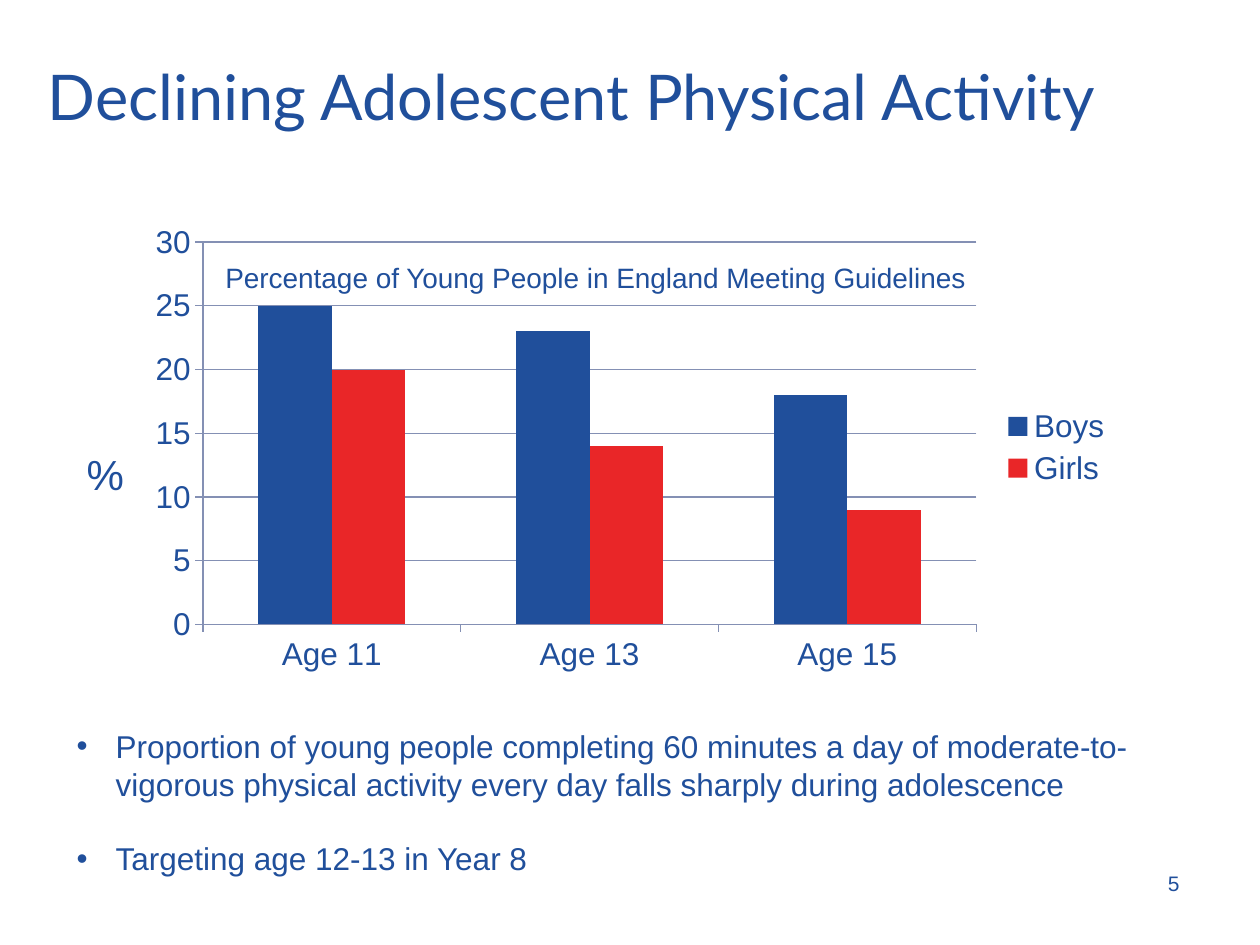
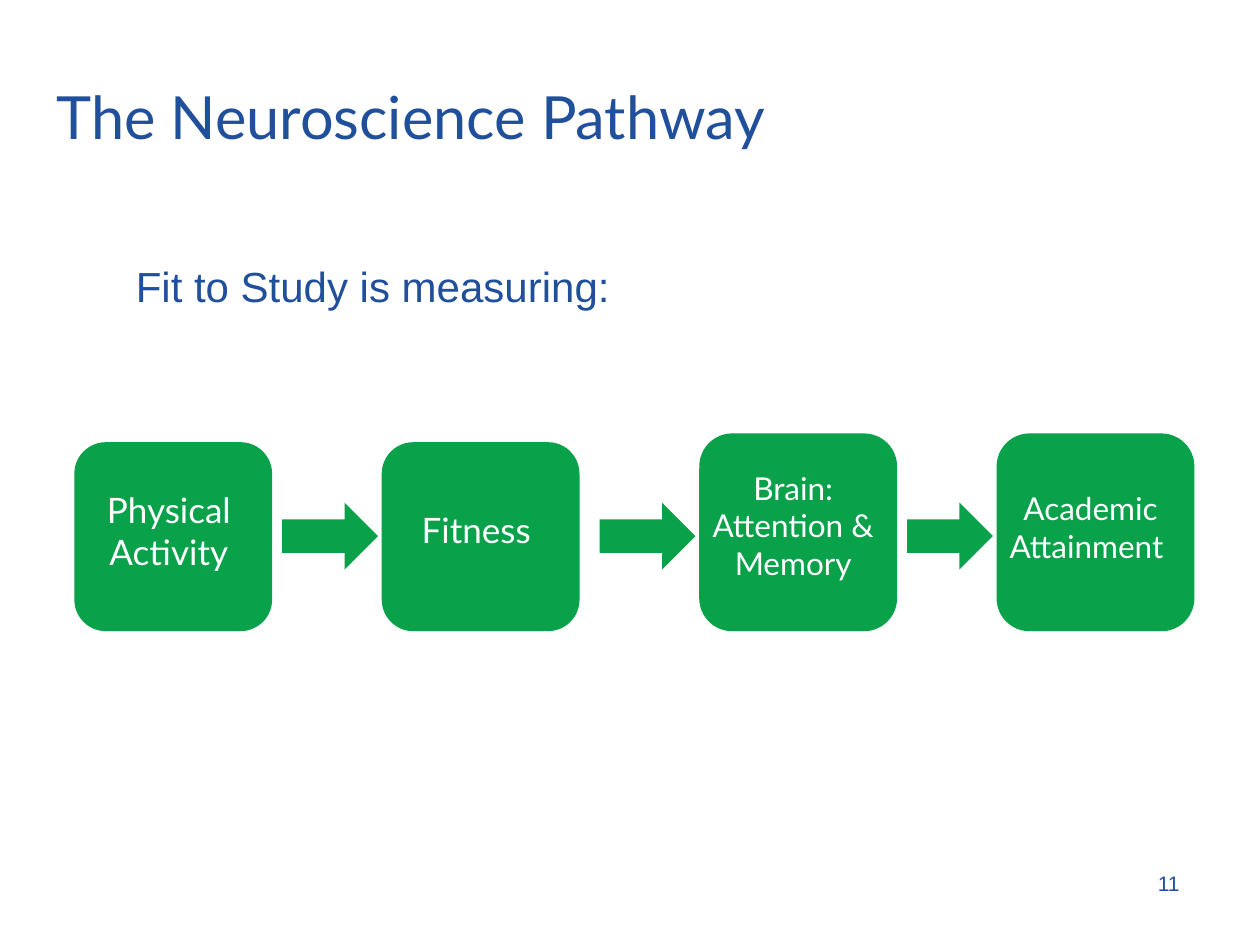
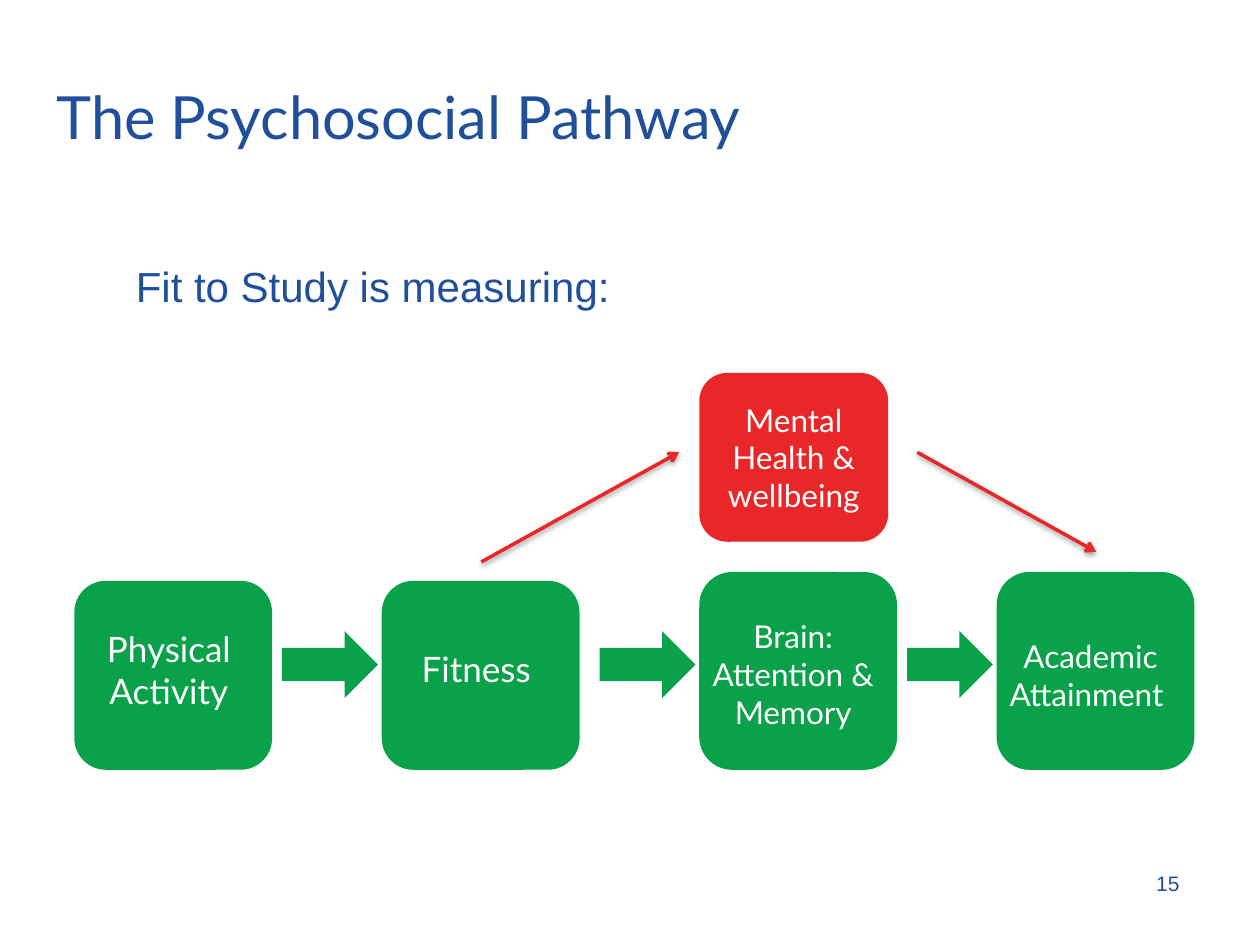
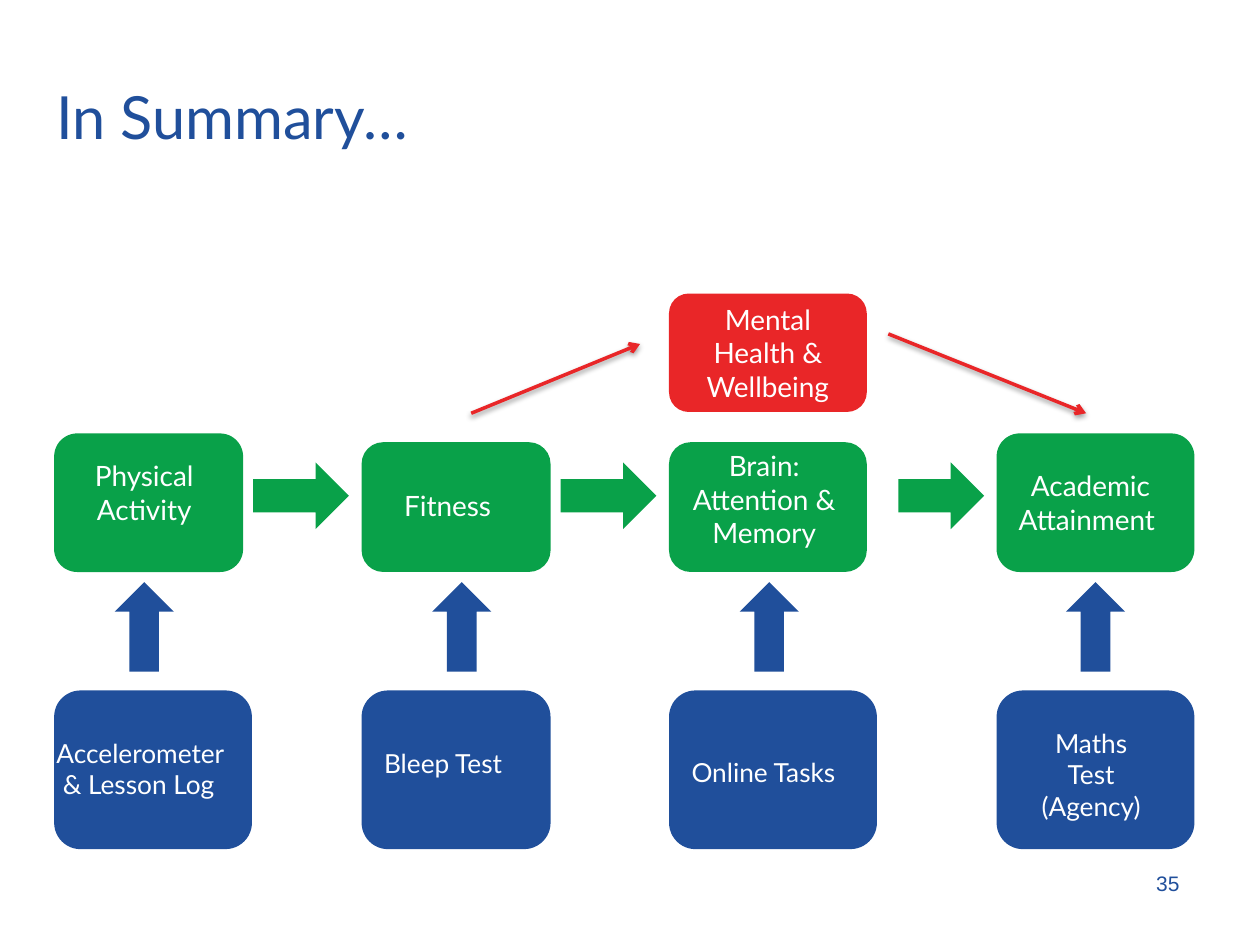
from lxml import etree
from pptx import Presentation
from pptx.chart.data import CategoryChartData
from pptx.dml.color import RGBColor
from pptx.enum.chart import XL_CHART_TYPE, XL_LEGEND_POSITION, XL_TICK_MARK
from pptx.enum.shapes import MSO_CONNECTOR, MSO_SHAPE
from pptx.enum.text import MSO_ANCHOR, PP_ALIGN
from pptx.oxml import parse_xml
from pptx.oxml.ns import nsdecls, qn
from pptx.util import Inches, Pt

BLUE, GREEN, RED, WHITE, GRID = "204F9B", "09A149", "E92628", "FFFFFF", "8490B4"
HEADING_FONT, BODY_FONT = "Lato", "Arial"
ROUNDED, RIGHT_ARROW, UP_ARROW = MSO_SHAPE.ROUNDED_RECTANGLE, MSO_SHAPE.RIGHT_ARROW, MSO_SHAPE.UP_ARROW
LEFT, CENTER, RIGHT = PP_ALIGN.LEFT, PP_ALIGN.CENTER, PP_ALIGN.RIGHT
TOP, MIDDLE = MSO_ANCHOR.TOP, MSO_ANCHOR.MIDDLE
STRAIGHT = MSO_CONNECTOR.STRAIGHT
rgb = RGBColor.from_string


def draw(slide, kind, box, color=None):
    """Add a plain filled shape, or a text box when kind is None; box is in inches."""
    place = [Inches(length) for length in box]
    if kind is None:
        return slide.shapes.add_textbox(*place)
    shape = slide.shapes.add_shape(kind, *place)
    shape.shadow.inherit = False
    shape.fill.solid()
    shape.fill.fore_color.rgb = rgb(color)
    shape.line.fill.background()
    return shape


def write(shape, text, size, color=WHITE, font=HEADING_FONT, align=CENTER, anchor=TOP):
    """Fill the shape with one paragraph per line of text and return its paragraphs."""
    frame = shape.text_frame
    frame.word_wrap = True
    frame.vertical_anchor = anchor
    for index, line in enumerate(text.split("\n")):
        paragraph = frame.add_paragraph() if index else frame.paragraphs[0]
        paragraph.alignment = align
        run = paragraph.add_run()
        run.text = line
        run.font.size = Pt(size)
        run.font.name = font
        run.font.color.rgb = rgb(color)
    return frame.paragraphs


presentation = Presentation()
presentation.slide_width, presentation.slide_height = Inches(10), Inches(7.5)

# Titles and slide numbers
slides = []
for title, number, left, top, size in [
    ("Declining Adolescent Physical Activity", "5", 0.28, 0.13, 36),
    ("The Neuroscience Pathway", "11", 0.35, 0.29, 34),
    ("The Psychosocial Pathway", "15", 0.35, 0.29, 34),
    ("In Summary…", "35", 0.35, 0.29, 34),
]:
    slide = presentation.slides.add_slide(presentation.slide_layouts[6])
    write(draw(slide, None, (left, top, 9, 1.25)), title, size, BLUE, align=LEFT, anchor=MIDDLE)
    write(draw(slide, None, (7.13, 6.81, 2.33, 0.4)), number, 12, BLUE, BODY_FONT, RIGHT, MIDDLE)
    slides.append(slide)
activity_slide, neuroscience_slide, psychosocial_slide, summary_slide = slides

# Activity by age
data = CategoryChartData()
data.categories = ["Age 11", "Age 13", "Age 15"]
data.add_series("Boys", (25, 23, 18))
data.add_series("Girls", (20, 14, 9))
chart_box = [Inches(length) for length in (1.06, 1.7, 7.87, 3.7)]
chart = activity_slide.shapes.add_chart(XL_CHART_TYPE.COLUMN_CLUSTERED, *chart_box, data).chart
chart.has_title = False
chart.font.size, chart.font.name = Pt(18), BODY_FONT
chart.font.color.rgb = rgb(BLUE)
chart.has_legend = True
chart.legend.position = XL_LEGEND_POSITION.RIGHT
chart.legend.include_in_layout = False
plot = chart.plots[0]
plot.gap_width, plot.overlap, plot.vary_by_categories = 150, 0, False
for series, color in zip(plot.series, (BLUE, RED)):
    series.format.fill.solid()
    series.format.fill.fore_color.rgb = rgb(color)
value_axis = chart.value_axis
value_axis.minimum_scale, value_axis.maximum_scale, value_axis.major_unit = 0, 30, 5
value_axis.has_major_gridlines = True
for axis in (value_axis, chart.category_axis):
    axis.major_tick_mark = XL_TICK_MARK.OUTSIDE
    axis.format.line.color.rgb = rgb(GRID)
value_axis.major_gridlines.format.line.color.rgb = rgb(GRID)
plot_area = chart.element.find(".//" + qn("c:plotArea"))
for layout in plot_area.findall(qn("c:layout")):
    plot_area.remove(layout)
plot_area.insert(0, parse_xml(
    f'<c:layout {nsdecls("c")}><c:manualLayout><c:layoutTarget val="inner"/>'
    '<c:xMode val="edge"/><c:yMode val="edge"/><c:x val="0.07"/><c:y val="0.06"/>'
    '<c:w val="0.78"/><c:h val="0.82"/></c:manualLayout></c:layout>'))

for text, box, size in [
    ("%", (0.59, 3.51, 0.47, 0.5), 24),
    ("Percentage of Young People in England Meeting Guidelines", (1.69, 2.02, 6.14, 0.37), 16),
]:
    write(draw(activity_slide, None, box), text, size, BLUE, BODY_FONT, LEFT)

findings = write(
    draw(activity_slide, None, (0.51, 5.72, 8.66, 1.31)),
    "Proportion of young people completing 60 minutes a day of moderate-to-vigorous physical "
    "activity every day falls sharply during adolescence\nTargeting age 12-13 in Year 8",
    18, BLUE, BODY_FONT, LEFT)
findings[1].space_before = Pt(21)
for paragraph in findings:
    properties = paragraph._p.get_or_add_pPr()
    properties.set("marL", str(Inches(0.31)))
    properties.set("indent", str(-Inches(0.31)))
    etree.SubElement(properties, qn("a:buFont")).set("typeface", BODY_FONT)
    etree.SubElement(properties, qn("a:buChar")).set("char", "•")

# Pathways: each stage stands on a common base line
stages = [  # label, box left, box height, label left, label width, label height, label rise, size
    ("Physical Activity", 0.59, 1.5, 0.67, 1.34, 0.77, 1.18, 20),
    ("Fitness", 3.03, 1.5, 3.11, 1.34, 0.44, 1.02, 20),
    ("Brain: Attention & Memory", 5.55, 1.57, 5.47, 1.65, 1.01, 1.34, 18),
    ("Academic Attainment ", 7.91, 1.57, 7.83, 1.65, 0.71, 1.18, 18),
]
for slide, base, arrow_top, tall_label_drop in [
    (neuroscience_slide, 5.01, 3.99, 0),
    (psychosocial_slide, 6.11, 5.01, 0.08),
]:
    write(draw(slide, None, (0.98, 2.02, 7.87, 0.5)), "Fit to Study is measuring:", 24, BLUE, BODY_FONT, LEFT)
    for label, left, height, label_left, label_width, label_height, rise, size in stages:
        draw(slide, ROUNDED, (left, base - height, 1.57, height), GREEN)
        label_top = base - rise + (tall_label_drop if height > 1.5 else 0)
        write(draw(slide, None, (label_left, label_top, label_width, label_height)), label, size)
    for left, width in [(2.24, 0.76), (4.76, 0.76), (7.2, 0.68)]:
        draw(slide, RIGHT_ARROW, (left, arrow_top, width, 0.53), GREEN)

# Summary: stages above, the measure of each stage below
for left, top, width, measure_width in [
    (0.43, 3.44, 1.5, 1.57),
    (2.87, 3.51, 1.5, 1.5),
    (5.31, 3.51, 1.57, 1.65),
    (7.91, 3.44, 1.57, 1.57),
]:
    draw(summary_slide, ROUNDED, (left, top, width, 4.54 - top), GREEN)
    draw(summary_slide, ROUNDED, (left, 5.48, measure_width, 1.26), BLUE)
for left, width in [(2.01, 0.76), (4.45, 0.76), (7.13, 0.68)]:
    draw(summary_slide, RIGHT_ARROW, (left, 3.67, width, 0.53), GREEN)
for left in (0.91, 3.43, 5.87, 8.46):
    draw(summary_slide, UP_ARROW, (left, 4.62, 0.47, 0.71), BLUE)
for label, box, size, align in [
    ("Physical Activity", (0.28, 3.59, 1.73, 0.64), 16, CENTER),
    ("Fitness", (3.11, 3.83, 1.26, 0.37), 16, LEFT),
    ("Brain: Attention & Memory", (5.24, 3.51, 1.65, 0.91), 16, CENTER),
    ("Academic Attainment ", (7.83, 3.67, 1.65, 0.64), 16, CENTER),
    ("Bleep Test", (2.95, 5.88, 1.34, 0.35), 15, LEFT),
    ("Online Tasks", (5.39, 5.95, 1.5, 0.35), 15, LEFT),
    ("Maths Test (Agency)", (8.07, 5.72, 1.18, 0.86), 15, CENTER),
]:
    write(draw(summary_slide, None, box), label, size, align=align)
log_lines = write(draw(summary_slide, None, (0.35, 5.8, 2.44, 0.61)),
                  "Accelerometer\n& Lesson Log", 15, align=LEFT)
log_lines[1]._p.get_or_add_pPr().set("marL", str(Inches(0.05)))

# The wellbeing branch and its arrows
for slide, label, box, size, arrows in [
    (psychosocial_slide, "Mental Health & wellbeing", (5.55, 2.96, 1.5, 1.34), 18,
     [(3.82, 4.46, 5.39, 3.59), (7.28, 3.59, 8.7, 4.38)]),
    (summary_slide, "Mental Health & Wellbeing", (5.31, 2.33, 1.57, 0.94), 16,
     [(3.74, 3.28, 5.08, 2.73), (7.05, 2.65, 8.62, 3.28)]),
]:
    write(draw(slide, ROUNDED, box, RED), label, size, anchor=MIDDLE)
    for ends in arrows:
        connector = slide.shapes.add_connector(STRAIGHT, *[Inches(length) for length in ends])
        connector.line.color.rgb = rgb(RED)
        connector.line.width = Pt(2)
        etree.SubElement(connector.line._get_or_add_ln(), qn("a:tailEnd")).set("type", "arrow")
        connector._element.spPr.append(parse_xml(
            f'<a:effectLst {nsdecls("a")}><a:outerShdw blurRad="40000" dist="20000" dir="5400000" '
            'rotWithShape="0"><a:srgbClr val="000000"><a:alpha val="38000"/></a:srgbClr>'
            '</a:outerShdw></a:effectLst>'))

presentation.save("out.pptx")
